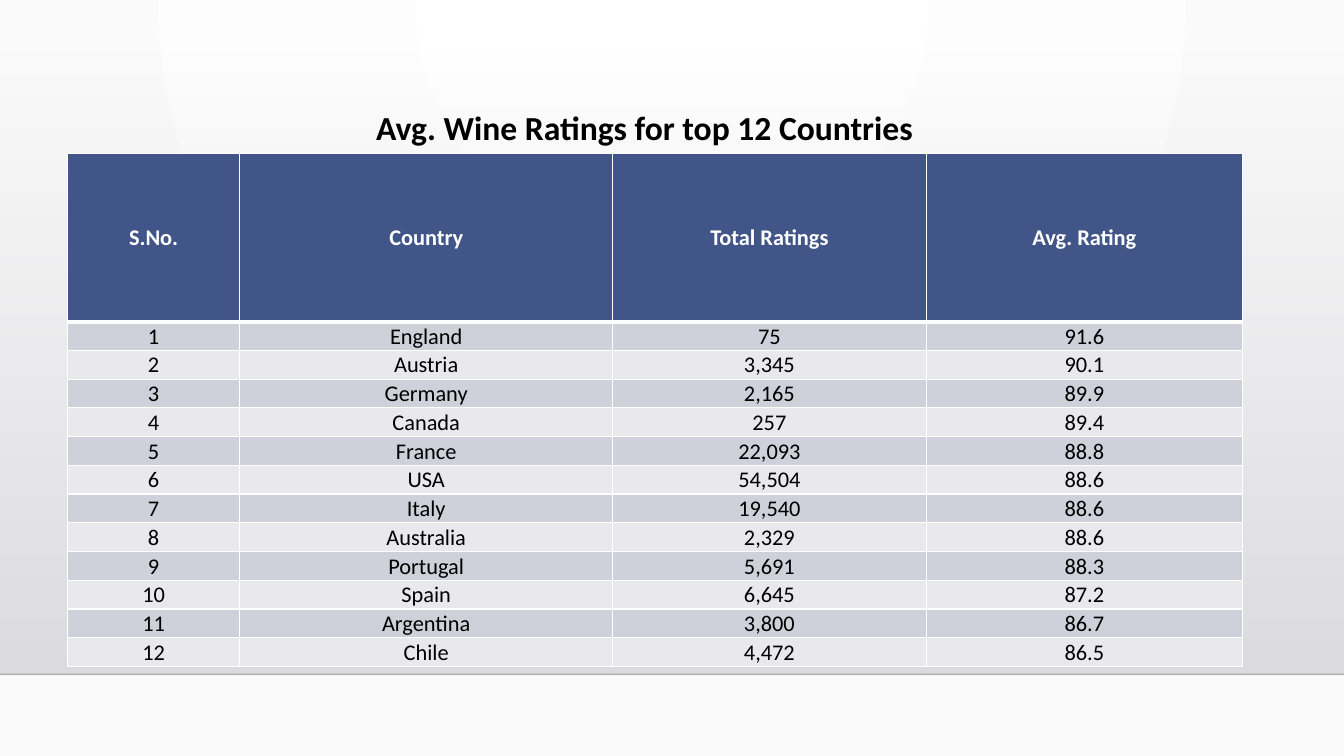
from lxml import etree
from pptx import Presentation
from pptx.dml.color import RGBColor
from pptx.enum.shapes import MSO_CONNECTOR, MSO_SHAPE
from pptx.enum.text import MSO_ANCHOR, PP_ALIGN
from pptx.oxml.ns import qn
from pptx.util import Pt

STRAIGHT, RECTANGLE = MSO_CONNECTOR.STRAIGHT, MSO_SHAPE.RECTANGLE
MIDDLE, CENTER = MSO_ANCHOR.MIDDLE, PP_ALIGN.CENTER

TITLE = "Avg. Wine Ratings for top 12 Countries"
HEADINGS = ("S.No.", "Country", "Total Ratings", "Avg. Rating")
RATINGS = [
    ("England", 75, 91.6),
    ("Austria", 3345, 90.1),
    ("Germany", 2165, 89.9),
    ("Canada", 257, 89.4),
    ("France", 22093, 88.8),
    ("USA", 54504, 88.6),
    ("Italy", 19540, 88.6),
    ("Australia", 2329, 88.6),
    ("Portugal", 5691, 88.3),
    ("Spain", 6645, 87.2),
    ("Argentina", 3800, 86.7),
    ("Chile", 4472, 86.5),
]

PAGE_WIDTH, PAGE_HEIGHT = 960, 540
BAND_TOP, FLOOR = 36.7, 481.7
TITLE_BOX = (102.2, 74.9, 716.4, 34.6)
TABLE_LEFT, TABLE_TOP = 48.2, 109.6
COLUMN_WIDTHS = (123.1, 266.4, 223.9, 226.1)
HEADER_HEIGHT, ROW_HEIGHT = 120.2, 20.55
FONT = "Calibri"
BLACK, WHITE, HEADER_FILL = "000000", "FFFFFF", "415588"
ROW_FILLS = ("CFD1DA", "E9E9ED")


def color(hex_text):
    """Turn a hex string into a colour."""
    return RGBColor.from_string(hex_text)


def add_node(parent, tag, **attributes):
    """Append a DrawingML element and return it."""
    return etree.SubElement(parent, qn(f"a:{tag}"), attributes)


def set_gradient(element, stops):
    """Replace the stops of the gradient inside an element and return it."""
    gradient = next(element.iter(qn("a:gradFill")))
    for child in list(gradient):
        gradient.remove(child)
    stop_list = add_node(gradient, "gsLst")
    for position, hex_text, opacity in stops:
        stop = add_node(stop_list, "gs", pos=str(position * 1000))
        shade = add_node(stop, "srgbClr", val=hex_text)
        if opacity < 100:
            add_node(shade, "alpha", val=str(opacity * 1000))
    return gradient


def write(frame, text, size, ink=BLACK, bold=False, line_spacing=None):
    """Write one centred paragraph into a text frame."""
    para = frame.paragraphs[0]
    para.alignment = CENTER
    if line_spacing:
        para.line_spacing = line_spacing
    span = para.add_run()
    span.text = text
    span.font.name, span.font.size, span.font.bold = FONT, Pt(size), bold
    span.font.color.rgb = color(ink)


def add_borders(cell_element, widths):
    """Add white borders to a cell, widths keyed by side."""
    properties = cell_element.get_or_add_tcPr()
    for side, width in widths.items():
        border = add_node(properties, f"ln{side}", w=str(Pt(width)))
        add_node(add_node(border, "solidFill"), "srgbClr", val=WHITE)


def add_backdrop(page):
    """Draw the radial background, the shaded band and the floor line."""
    page.background.fill.gradient()
    glow = set_gradient(page.element, [(0, WHITE, 100), (100, "FAFAFA", 100)])
    circle = add_node(glow, "path", path="circle")
    add_node(circle, "fillToRect", l="43000", t="0", r="43000", b="100000")

    band = page.shapes.add_shape(RECTANGLE, 0, Pt(BAND_TOP),
                                 Pt(PAGE_WIDTH), Pt(FLOOR - BAND_TOP))
    band.shadow.inherit = False
    band.line.fill.background()
    band.fill.gradient()
    fade = set_gradient(band.element, [(0, "DCDCE0", 0), (100, "DEDEE2", 100)])
    add_node(fade, "lin", ang="5400000", scaled="0")

    line = page.shapes.add_connector(STRAIGHT, 0, Pt(FLOOR),
                                     Pt(PAGE_WIDTH), Pt(FLOOR))
    line.line.width = Pt(1)
    line.line.color.rgb = color("000001")
    add_node(next(line.element.iter(qn("a:srgbClr"))), "alpha", val="20000")
    add_node(line.element.spPr, "effectLst")


def add_ratings_table(page):
    """Draw the table of countries with its header row."""
    rows = [HEADINGS]
    for number, (country, total, average) in enumerate(RATINGS, 1):
        rows.append((str(number), country, f"{total:,}", f"{average:.1f}"))
    height = HEADER_HEIGHT + ROW_HEIGHT * len(RATINGS)
    frame = page.shapes.add_table(
        len(rows), len(HEADINGS), Pt(TABLE_LEFT), Pt(TABLE_TOP),
        Pt(sum(COLUMN_WIDTHS)), Pt(height))
    table = frame.table
    for column, width in zip(table.columns, COLUMN_WIDTHS):
        column.width = Pt(width)
    cell_elements = frame.element.iter(qn("a:tc"))
    for index, texts in enumerate(rows):
        header = index == 0
        table.rows[index].height = Pt(HEADER_HEIGHT if header else ROW_HEIGHT)
        top, bottom = 3 if index == 1 else 1, 3 if header else 1
        for position, text in enumerate(texts):
            add_borders(next(cell_elements),
                        {"L": 1, "R": 1, "T": top, "B": bottom})
            cell = table.cell(index, position)
            cell.fill.solid()
            cell.fill.fore_color.rgb = color(
                HEADER_FILL if header else ROW_FILLS[(index - 1) % 2])
            cell.vertical_anchor = MIDDLE
            cell.margin_left = cell.margin_right = cell.margin_top = Pt(0.7)
            cell.margin_bottom = 0
            write(cell.text_frame, text, 16, WHITE if header else BLACK, header)


deck = Presentation()
deck.slide_width, deck.slide_height = Pt(PAGE_WIDTH), Pt(PAGE_HEIGHT)
page = deck.slides.add_slide(deck.slide_layouts[6])
add_backdrop(page)
box = page.shapes.add_textbox(*map(Pt, TITLE_BOX))
box.text_frame.word_wrap = True
box.text_frame.vertical_anchor = MIDDLE
write(box.text_frame, TITLE, 24, bold=True, line_spacing=0.9)
add_ratings_table(page)
deck.save("out.pptx")
